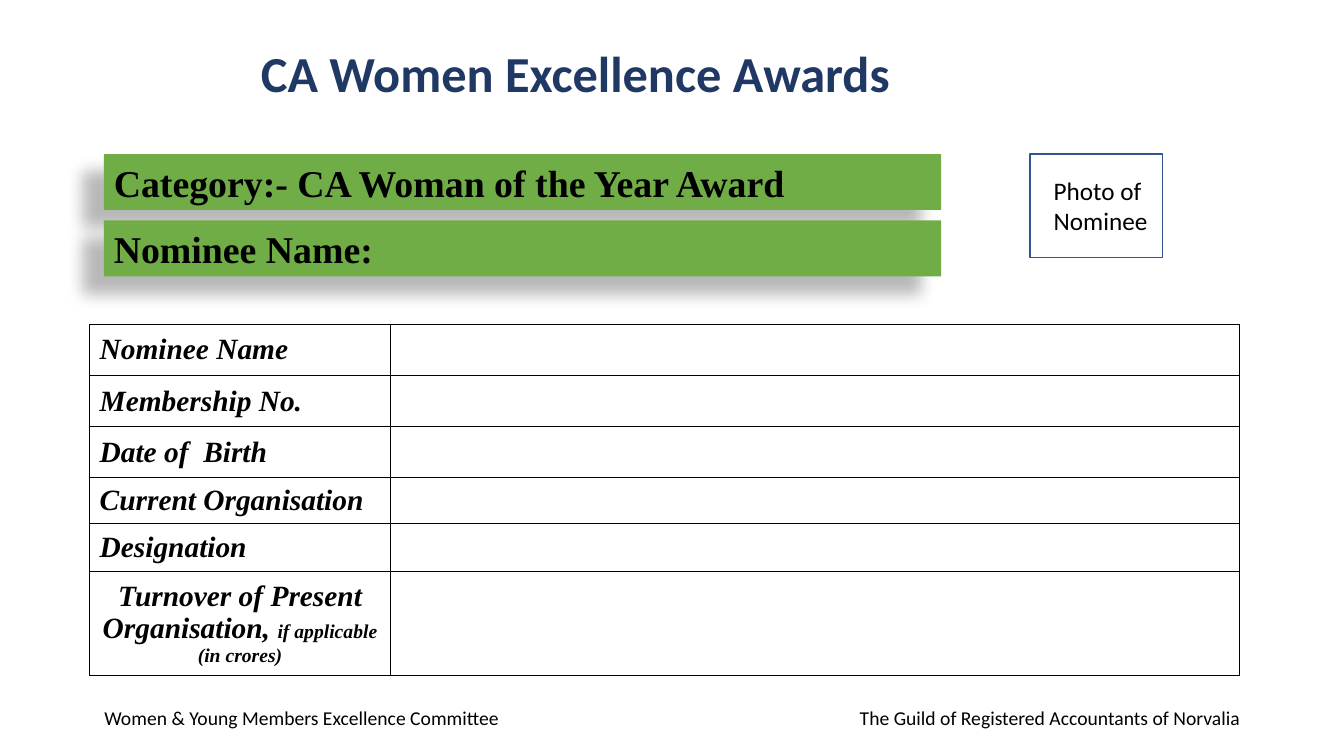
from lxml import etree
from pptx import Presentation
from pptx.dml import color
from pptx.enum import shapes, text
from pptx.oxml import ns
from pptx.util import Pt

SERIF, SANS = "Times New Roman", "Calibri"
BLACK = "000000"


def rgb(code):
    return color.RGBColor.from_string(code)


def sub(node, tag, **attrs):
    return etree.SubElement(node, ns.qn(tag), {k: str(v) for k, v in attrs.items()})


def add_run(para, words, size, font, code=BLACK, bold=False, slant=False):
    run = para.add_run()
    run.text = words
    face = run.font
    face.size, face.name, face.bold, face.italic = Pt(size), font, bold, slant
    face.color.rgb = rgb(code)


def add_text(slide, box, words, size, code=BLACK, bold=False):
    frame = slide.shapes.add_textbox(*map(Pt, box)).text_frame
    frame.word_wrap = True
    add_run(frame.paragraphs[0], words, size, SANS, code, bold)
    return frame


def add_rect(slide, box):
    rect = slide.shapes.add_shape(shapes.MSO_SHAPE.RECTANGLE, *map(Pt, box))
    rect.shadow.inherit = False
    return rect


# Green bars with a soft shadow to the lower left
def add_bars(slide, box, labels, gap):
    left, top, width, height = box
    for i, label in enumerate(labels):
        bar = add_rect(slide, (left, top + i * (height + gap), width, height))
        bar.fill.solid()
        bar.fill.fore_color.rgb = rgb("70AD47")
        bar.line.fill.background()
        effects = bar._element.spPr.find(ns.qn("a:effectLst"))
        shade = sub(effects, "a:outerShdw", blurRad=Pt(11.8), dist=Pt(19.7),
                    dir=141 * 60000, algn="ctr", rotWithShape=0)
        sub(sub(shade, "a:srgbClr", val=BLACK), "a:alpha", val=28000)
        frame = bar.text_frame
        frame.word_wrap = True
        frame.vertical_anchor = text.MSO_ANCHOR.MIDDLE
        para = frame.paragraphs[0]
        para.alignment = text.PP_ALIGN.LEFT
        add_run(para, label, 27, SERIF, bold=True)


# Frame for the photo, with its caption
def add_photo(slide, box):
    left, top, width, height = box
    rect = add_rect(slide, box)
    rect.fill.background()
    rect.line.color.rgb = rgb("325491")
    rect.line.width = Pt(1)
    add_text(slide, (left + 10, top + 11.5, width + 13, height - 23),
             "Photo of Nominee", 18)


def add_edges(cell):
    props = cell._tc.get_or_add_tcPr()
    for i, side in enumerate(("a:lnL", "a:lnR", "a:lnT", "a:lnB")):
        edge = etree.Element(ns.qn(side), w=str(Pt(1)))
        sub(sub(edge, "a:solidFill"), "a:srgbClr", val=BLACK)
        props.insert(i, edge)


# Form: label column and blank column
def add_form(slide, box, rows, split):
    width = box[2]
    grid = slide.shapes.add_table(len(rows), 2, *map(Pt, box)).table
    grid.first_row = grid.horz_banding = False
    for col, size in zip(grid.columns, (split, width - split)):
        col.width = Pt(size)
    for i, (height, align, paras) in enumerate(rows):
        grid.rows[i].height = Pt(height)
        for cell in grid.rows[i].cells:
            cell.fill.background()
            cell.vertical_anchor = text.MSO_ANCHOR.MIDDLE
            add_edges(cell)
        frame = grid.cell(i, 0).text_frame
        for j, runs in enumerate(paras):
            para = frame.add_paragraph() if j else frame.paragraphs[0]
            para.alignment = align
            for words, size in runs:
                add_run(para, words, size, SERIF, bold=True, slant=True)


# Footer: one line, its second half set by a right tab
def add_foot(slide, box, first, last):
    para = add_text(slide, box, f"{first}\t{last}", 14).paragraphs[0]
    tabs = sub(para._p.get_or_add_pPr(), "a:tabLst")
    sub(tabs, "a:tab", pos=Pt(box[2] - 16.5), algn="r")


def main():
    deck = Presentation()
    deck.slide_width, deck.slide_height = Pt(960), Pt(540)
    slide = deck.slides.add_slide(deck.slide_layouts[6])

    add_foot(slide, (67.5, 500.4, 828, 41),
             "Women & Young Members Excellence Committee",
             "The Guild of Registered Accountants of Norvalia")
    add_bars(slide, (74.2, 110, 598, 40),
             ("Category:- CA Woman of the Year Award", "Nominee Name:"), 7.5)
    add_photo(slide, (735.6, 110, 95, 74))
    add_text(slide, (179.3, 26.6, 591, 51), "CA Women Excellence Awards",
             36, "203864", True)

    left, mid = text.PP_ALIGN.LEFT, text.PP_ALIGN.CENTER
    fields = (("Nominee Name", 36.5), ("Membership No.", 36.5),
              ("Date of  Birth", 36.5), ("Current Organisation", 32),
              ("Designation", 34.5))
    rows = [(height, left, [[(label, 21)]]) for label, height in fields]
    rows.append((74, mid, [[("Turnover of Present Organisation, ", 21),
                            ("if applicable", 14)], [("(in crores)", 14)]]))
    add_form(slide, (64, 231.8, 821.5, 250), rows, 215)
    deck.save("out.pptx")


if __name__ == "__main__":
    main()
